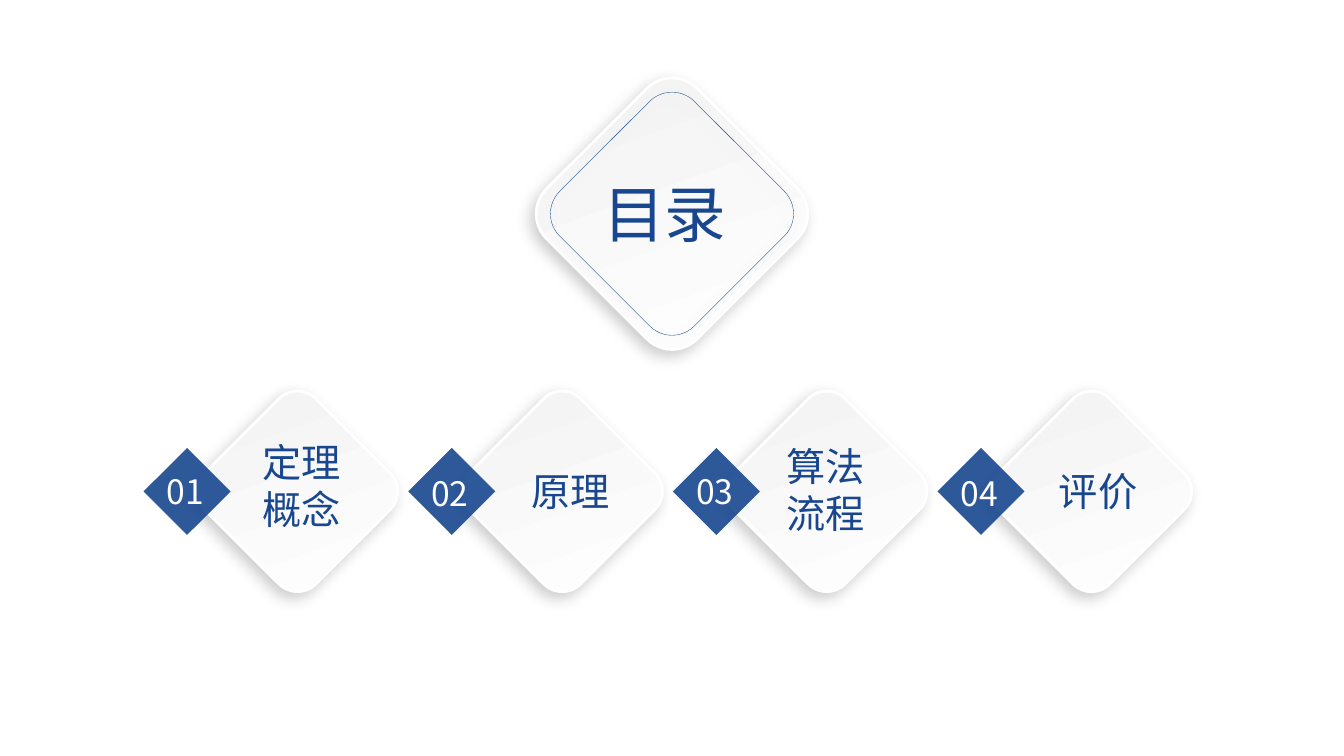
import pptx
import pptx.dml.color
import pptx.enum.shapes
import pptx.enum.text
import pptx.oxml
import pptx.oxml.ns
import pptx.util

RGBColor = pptx.dml.color.RGBColor
Shapes = pptx.enum.shapes.MSO_SHAPE
Align = pptx.enum.text.PP_ALIGN

BLUE = RGBColor(0x18, 0x47, 0x8F)
WHITE = RGBColor(0xFF, 0xFF, 0xFF)
PALE = RGBColor(0xF2, 0xF2, 0xF2)
FONT = "Noto Sans CJK SC"

WIDTH = pptx.util.Inches(13.33)
HEIGHT = pptx.util.Inches(7.5)

# Horizontal and square sizes are percent of the width, vertical ones of the height
FIRST_TILE, FIRST_BADGE, PITCH = 22.13, 13.92, 19.69
ROW = 65

# Number, lines, label shift from its tile, label middle, number middle
CHAPTERS = [
    ("01", ["定理", "概念"], 0.3, 64.27, 64.93),
    ("02", ["原理"], 0.64, 65, 65.2),
    ("03", ["算法", "流程"], -0.07, 64.8, 64.93),
    ("04", ["评价"], 0.5, 65, 65.2),
]


def across(percent):
    return round(WIDTH * percent / 100)


def down(percent):
    return round(HEIGHT * percent / 100)


def add_square(page, kind, center, middle, size, rotation):
    side = across(size)
    square = page.shapes.add_shape(
        kind, across(center) - side // 2, down(middle) - side // 2, side, side)
    square.rotation = rotation
    square.shadow.inherit = False
    return square


def add_soft_shadow(shape):
    effects = shape._element.spPr.find(pptx.oxml.ns.qn("a:effectLst"))
    effects.append(pptx.oxml.parse_xml(
        f'<a:outerShdw {pptx.oxml.ns.nsdecls("a")} blurRad="139700" dist="63500"'
        ' dir="8100000" algn="tr" rotWithShape="0"><a:srgbClr val="000000">'
        '<a:alpha val="20000"/></a:srgbClr></a:outerShdw>'))


def add_tile(page, center, middle, size):
    tile = add_square(page, Shapes.ROUNDED_RECTANGLE, center, middle, size, 45)
    tile.fill.gradient()
    tile.fill.gradient_angle = 110
    for stop, color in zip(tile.fill.gradient_stops, (WHITE, PALE)):
        stop.color.rgb = color
    tile._element.spPr.find(pptx.oxml.ns.qn("a:gradFill")).set("rotWithShape", "0")
    tile.line.color.rgb = WHITE
    tile.line.width = pptx.util.Pt(2)
    add_soft_shadow(tile)


def add_frame(page, center, middle, size):
    frame = add_square(page, Shapes.ROUNDED_RECTANGLE, center, middle, size, 45)
    frame.fill.background()
    frame.line.color.rgb = BLUE
    frame.line.width = pptx.util.Pt(0.25)
    add_soft_shadow(frame)


def add_badge(page, center, middle, size):
    badge = add_square(page, Shapes.RECTANGLE, center, middle, size, 225)
    badge.fill.solid()
    badge.fill.fore_color.rgb = BLUE
    color = badge._element.spPr.find(".//" + pptx.oxml.ns.qn("a:srgbClr"))
    color.append(pptx.oxml.parse_xml(
        f'<a:alpha {pptx.oxml.ns.nsdecls("a")} val="90000"/>'))
    badge.line.fill.background()


def add_text(page, lines, center, middle, width, height, size, color,
             align=Align.CENTER, wrap=True):
    box = page.shapes.add_textbox(
        across(center - width / 2), down(middle - height / 2),
        across(width), down(height))
    frame = box.text_frame
    frame.word_wrap = wrap
    frame.auto_size = pptx.enum.text.MSO_AUTO_SIZE.SHAPE_TO_FIT_TEXT
    for index, line in enumerate(lines):
        para = frame.add_paragraph() if index else frame.paragraphs[0]
        para.alignment = align
        span = para.add_run()
        span.text = line
        span.font.size = pptx.util.Pt(size)
        span.font.name = FONT
        span.font.color.rgb = color
        properties = span._r.get_or_add_rPr()
        properties.append(pptx.oxml.parse_xml(
            f'<a:ea {pptx.oxml.ns.nsdecls("a")} typeface="{FONT}"/>'))


def main():
    deck = pptx.Presentation()
    deck.slide_width, deck.slide_height = WIDTH, HEIGHT
    page = deck.slides.add_slide(deck.slide_layouts[6])

    # Title diamond
    add_tile(page, 50, 28.27, 15.83)
    add_frame(page, 50, 28.27, 14.18)
    add_text(page, ["目录"], 49.48, 28.27, 18.83, 11.2, 44, BLUE)

    # Chapter diamonds with their numbers
    for index, (number, lines, shift, label_row, number_row) in enumerate(CHAPTERS):
        tile = FIRST_TILE + index * PITCH
        badge = FIRST_BADGE + index * PITCH
        add_tile(page, tile, ROW, 11.7)
        add_badge(page, badge, ROW, 4.58)
        add_text(page, lines, tile + shift, label_row,
                 12.3, 1.33 + 6.27 * len(lines), 28, BLUE)
        add_text(page, [number], badge, number_row, 4.5, 6.67, 24, WHITE,
                 Align.LEFT, wrap=False)

    deck.save("out.pptx")


if __name__ == "__main__":
    main()
